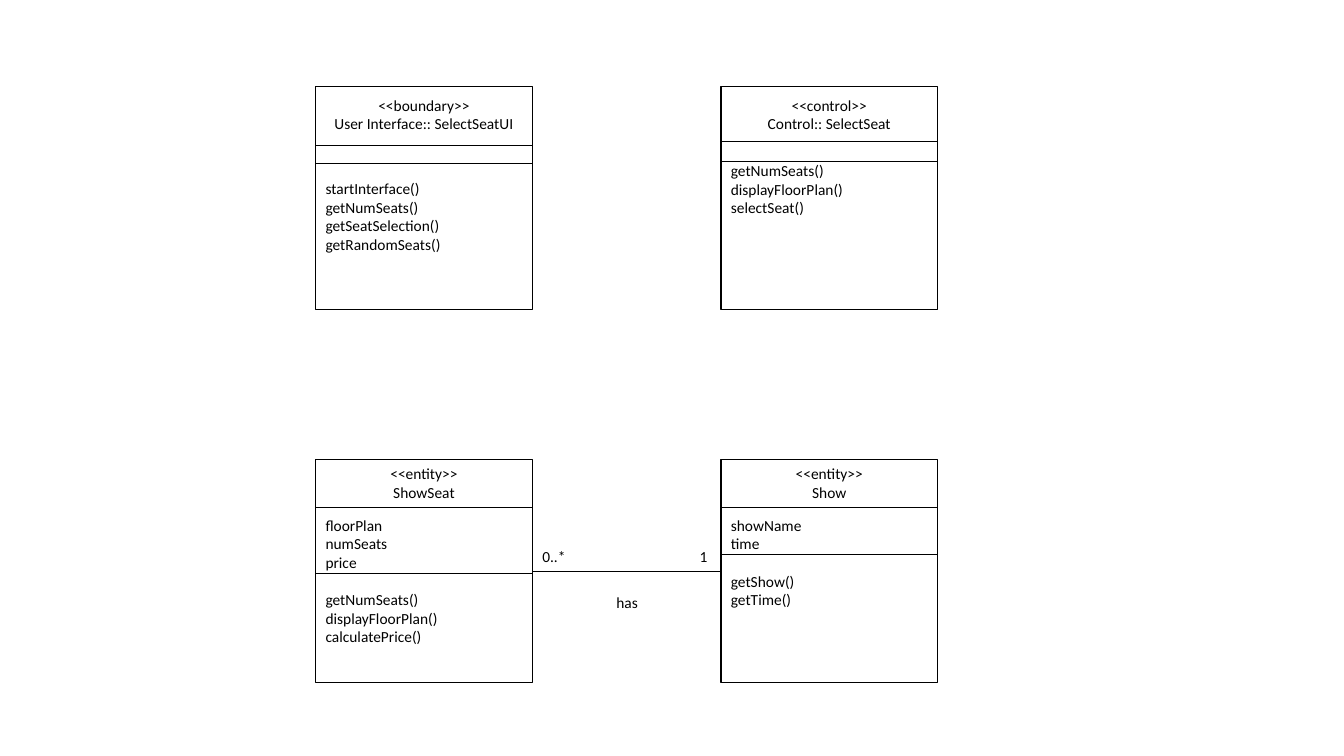
from pptx import Presentation
from pptx.dml.color import RGBColor
from pptx.enum.shapes import MSO_CONNECTOR, MSO_SHAPE
from pptx.enum.text import MSO_ANCHOR, PP_ALIGN
from pptx.oxml.ns import qn
from pptx.util import Inches, Pt
from lxml import etree

RECTANGLE = MSO_SHAPE.RECTANGLE
STRAIGHT = MSO_CONNECTOR.STRAIGHT
TOP = MSO_ANCHOR.TOP
LEFT, CENTER = PP_ALIGN.LEFT, PP_ALIGN.CENTER

BLACK, WHITE = "000000", "FFFFFF"
BOX_WIDTH, BOX_HEIGHT = 2.15, 2.21
LEFT_COLUMN, RIGHT_COLUMN = 3.13, 7.15
UPPER_ROW, LOWER_ROW = 0.86, 4.56
LEFT_SIDE, RIGHT_SIDE = 1, 3
BLANK_LINE = Pt(13.4)


def color(value):
    return RGBColor.from_string(value)


def write(frame, groups, align=LEFT):
    """Write groups of lines, with a one-line gap between groups."""
    frame.vertical_anchor = TOP
    lines = [(text, number > 0 and index == 0)
             for number, group in enumerate(groups)
             for index, text in enumerate(group)]
    for index, (text, gap) in enumerate(lines):
        para = frame.add_paragraph() if index else frame.paragraphs[0]
        para.text = text
        para.alignment = align
        para.font.name = "Calibri"
        para.font.size = Pt(11)
        para.font.color.rgb = color(BLACK)
        if gap:
            para.space_before = BLANK_LINE


def add_label(page, left, top, width, height, lines, align=LEFT, wrap=True):
    label = page.shapes.add_textbox(
        Inches(left), Inches(top), Inches(width), Inches(height))
    label.text_frame.word_wrap = wrap
    write(label.text_frame, [lines], align)


def add_line(page, left, top, right):
    line = page.shapes.add_connector(
        STRAIGHT, Inches(left), Inches(top), Inches(right), Inches(top))
    line.line.color.rgb = color(BLACK)
    line.line.width = Pt(0.5)
    properties = line._element.find(qn("p:spPr"))
    etree.SubElement(properties, qn("a:effectLst"))
    return line


def add_class(page, left, top, header_top, header, dividers,
              members=(), members_inset=0):
    """Draw a class box with its header, dividing lines and members."""
    box = page.shapes.add_shape(
        RECTANGLE, Inches(left), Inches(top),
        Inches(BOX_WIDTH), Inches(BOX_HEIGHT))
    box.shadow.inherit = False
    box.fill.solid()
    box.fill.fore_color.rgb = color(WHITE)
    box.line.color.rgb = color(BLACK)
    box.line.width = Pt(1)
    if members:
        box.text_frame.word_wrap = True
        box.text_frame.margin_top = Inches(members_inset)
        write(box.text_frame, members)
    add_label(page, left, header_top, BOX_WIDTH, 0.47, header, CENTER)
    for divider in dividers:
        add_line(page, left, divider, left + BOX_WIDTH)
    return box


def main():
    deck = Presentation()
    deck.slide_width, deck.slide_height = Inches(13.33), Inches(7.5)
    page = deck.slides.add_slide(deck.slide_layouts[6])

    # Boundary and control classes
    add_class(page, LEFT_COLUMN, UPPER_ROW, 0.9,
              ["<<boundary>>", "User Interface:: SelectSeatUI"], [1.44, 1.62])
    add_label(page, LEFT_COLUMN, 1.73, BOX_WIDTH, 1.03,
              ["startInterface()", "getNumSeats()",
               "getSeatSelection()", "getRandomSeats()"])
    add_class(page, RIGHT_COLUMN, UPPER_ROW, 0.9,
              ["<<control>>", "Control:: SelectSeat"], [1.4, 1.6],
              [["getNumSeats()", "displayFloorPlan()", "selectSeat()"]], 0.74)

    # Entity classes
    show_seat = add_class(
        page, LEFT_COLUMN, LOWER_ROW, LOWER_ROW,
        ["<<entity>>", "ShowSeat"], [5.03, 5.69],
        [["floorPlan", "numSeats", "price"],
         ["getNumSeats()", "displayFloorPlan()", "calculatePrice()"]], 0.56)
    show = add_class(
        page, RIGHT_COLUMN, LOWER_ROW, LOWER_ROW,
        ["<<entity>>", "Show"], [5.03, 5.5],
        [["showName", "time"], ["getShow()", "getTime()"]], 0.56)

    # Association between the entities
    association = add_line(page, LEFT_COLUMN + BOX_WIDTH,
                           LOWER_ROW + BOX_HEIGHT / 2, RIGHT_COLUMN)
    association.begin_connect(show_seat, RIGHT_SIDE)
    association.end_connect(show, LEFT_SIDE)
    add_label(page, 5.28, 5.38, 0.45, 0.29, ["0..*"])
    add_label(page, 6.84, 5.38, 0.32, 0.29, ["1"])
    add_label(page, 6.01, 5.83, 0.42, 0.29, ["has"], CENTER, wrap=False)

    deck.save("out.pptx")


if __name__ == "__main__":
    main()
